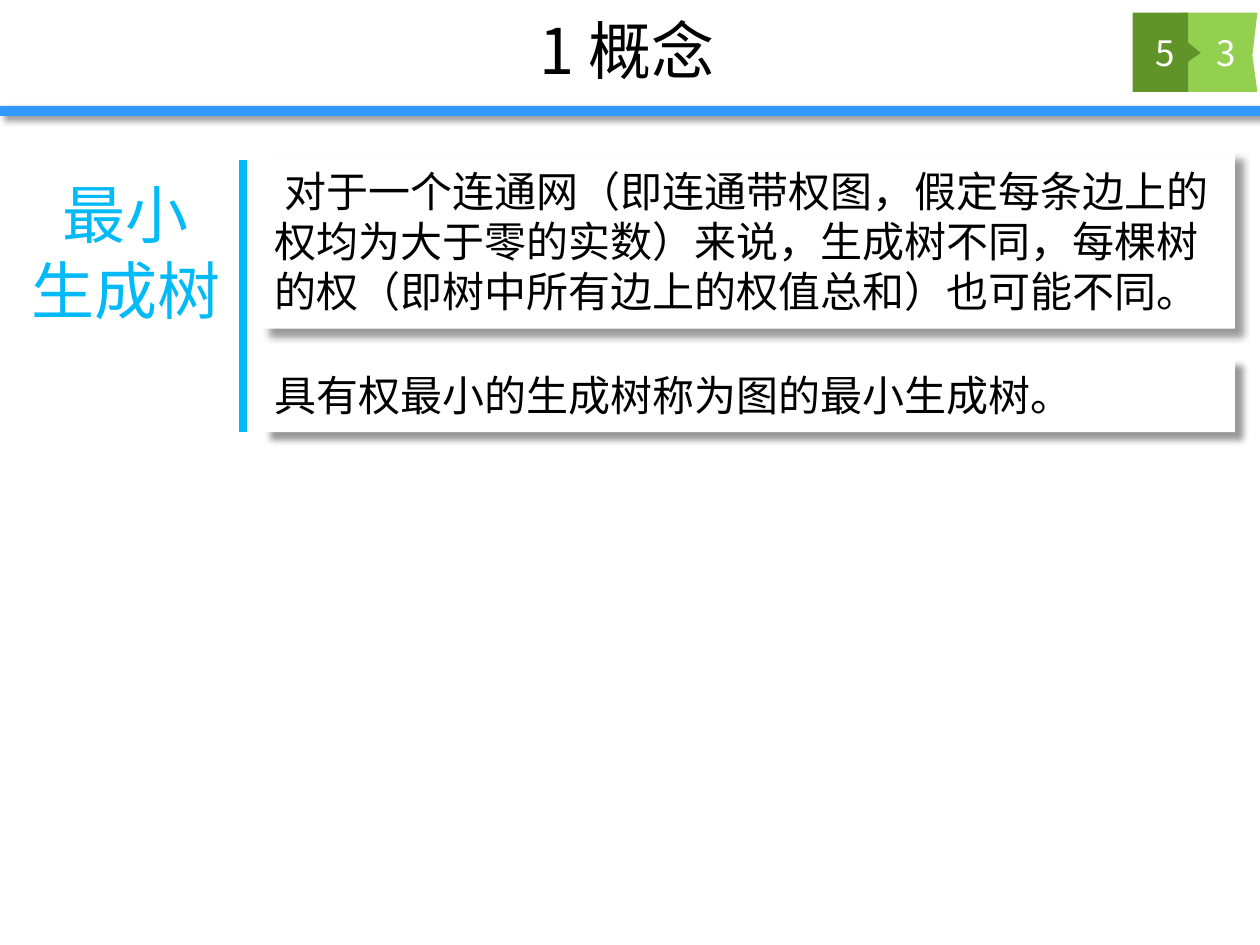
from lxml import etree
from pptx import Presentation
from pptx.dml.color import RGBColor
from pptx.enum.shapes import MSO_CONNECTOR, MSO_SHAPE
from pptx.enum.text import MSO_ANCHOR, MSO_AUTO_SIZE, PP_ALIGN
from pptx.oxml import parse_xml
from pptx.oxml.ns import nsdecls, qn
from pptx.util import Inches, Pt

RECT = MSO_SHAPE.RECTANGLE
STRAIGHT = MSO_CONNECTOR.STRAIGHT
MIDDLE, TOP = MSO_ANCHOR.MIDDLE, MSO_ANCHOR.TOP
CENTER, LEFT = PP_ALIGN.CENTER, PP_ALIGN.LEFT
FIXED = MSO_AUTO_SIZE.NONE

THEME = {
    "font": "Noto Sans CJK SC",
    "black": RGBColor(0x00, 0x00, 0x00),
    "white": RGBColor(0xFF, 0xFF, 0xFF),
    "rule": RGBColor(0x33, 0x99, 0xFF),
    "accent": RGBColor(0x02, 0xBA, 0xF8),
    "light": RGBColor(0x93, 0xD0, 0x50),
    "dark": RGBColor(0x61, 0x94, 0x28),
    "head": Pt(36),
    "text": Pt(24),
    "page": Pt(20),
}


def write(shape, text, size, color, align=CENTER, anchor=MIDDLE, pitch=None):
    """Fill a shape with text, one paragraph per line, and format it."""
    frame = shape.text_frame
    frame.text = text
    frame.word_wrap = True
    frame.auto_size = FIXED
    frame.vertical_anchor = anchor
    for para in frame.paragraphs:
        props = para._p.get_or_add_pPr()
        props.set("marL", "0")
        props.set("indent", "0")
        etree.SubElement(props, qn("a:buNone"))
        para.alignment = align
        para.space_before = Pt(0)
        if pitch:
            para.line_spacing = Pt(pitch)
        for run in para.runs:
            run.font.size = THEME[size]
            run.font.color.rgb = THEME[color]
            run.font.name = THEME["font"]
            east = etree.SubElement(run._r.get_or_add_rPr(), qn("a:ea"))
            east.set("typeface", THEME["font"])


def paint(shape, color, drop=None):
    """Give a shape a plain fill and, if asked, a shadow drop points away."""
    shape.fill.solid()
    shape.fill.fore_color.rgb = THEME[color]
    shape.line.fill.background()
    shape.shadow.inherit = False
    if drop:
        effect = shape._element.spPr.find(qn("a:effectLst"))
        effect.append(parse_xml(
            f'<a:outerShdw {nsdecls("a")} blurRad="{Pt(4)}" dist="{Pt(drop)}"'
            ' dir="2700000" algn="tl" rotWithShape="0"><a:srgbClr val="000000">'
            '<a:alpha val="40000"/></a:srgbClr></a:outerShdw>'))


deck = Presentation()
deck.slide_width, deck.slide_height = Inches(10), Inches(7.5)
slide = deck.slides.add_slide(deck.slide_layouts[3])
shapes = slide.shapes
title, part, page = slide.placeholders

# Rule under the title
rule = shapes.add_shape(RECT, Inches(0), Inches(0.84), Inches(10), Inches(0.08))
paint(rule, "rule", 3)

# Green page tags
tags = [
    ("light", [(9.38, 0.1), (9.98, 0.1), (9.94, 0.44), (9.98, 0.73), (9.38, 0.73)]),
    ("dark", [(8.99, 0.1), (9.43, 0.1), (9.43, 0.34), (9.53, 0.42),
              (9.43, 0.49), (9.43, 0.73), (8.99, 0.73)]),
]
for color, points in tags:
    start, *rest = [(Inches(x), Inches(y)) for x, y in points]
    pen = shapes.build_freeform(*start)
    pen.add_line_segments(rest, close=True)
    paint(pen.convert_to_shape(), color)

# Title and page numbers, raised above the tags
heads = [
    (title, "1 概念", 0.98, 0.01, 7.99, 0.77, "head", "black"),
    (page, "3", 9.42, 0.1, 0.62, 0.63, "page", "white"),
    (part, "5", 8.94, 0.1, 0.62, 0.63, "page", "white"),
]
for holder, text, x, y, w, h, size, color in heads:
    holder.left, holder.top = Inches(x), Inches(y)
    holder.width, holder.height = Inches(w), Inches(h)
    write(holder, text, size, color)
    shapes._spTree.append(holder._element)

# Term and its divider
term = shapes.add_textbox(Inches(-0.12), Inches(1.35), Inches(2.24), Inches(1.31))
write(term, "最小\n生成树", "head", "accent", anchor=TOP, pitch=43)
bar = shapes.add_connector(STRAIGHT, Inches(1.93), Inches(1.27),
                           Inches(1.93), Inches(3.43))
bar.line.color.rgb = THEME["accent"]
bar.line.width = Pt(4.5)
etree.SubElement(bar._element.spPr, qn("a:effectLst"))

# Definition cards: top, height, first line indent, text
cards = [
    (1.21, 1.4, 0.08, "对于一个连通网（即连通带权图，假定每条边上的权均为大于零的实数）"
     "来说，生成树不同，每棵树的权（即树中所有边上的权值总和）也可能不同。"),
    (2.84, 0.59, 0, "具有权最小的生成树称为图的最小生成树。"),
]
for y, h, indent, text in cards:
    card = shapes.add_shape(RECT, Inches(2.08), Inches(y), Inches(7.72), Inches(h))
    paint(card, "white", 6)
    write(card, text, "text", "black", LEFT, pitch=28.6)
    card.text_frame.paragraphs[0]._p.pPr.set("indent", str(Inches(indent)))

deck.save("out.pptx")
